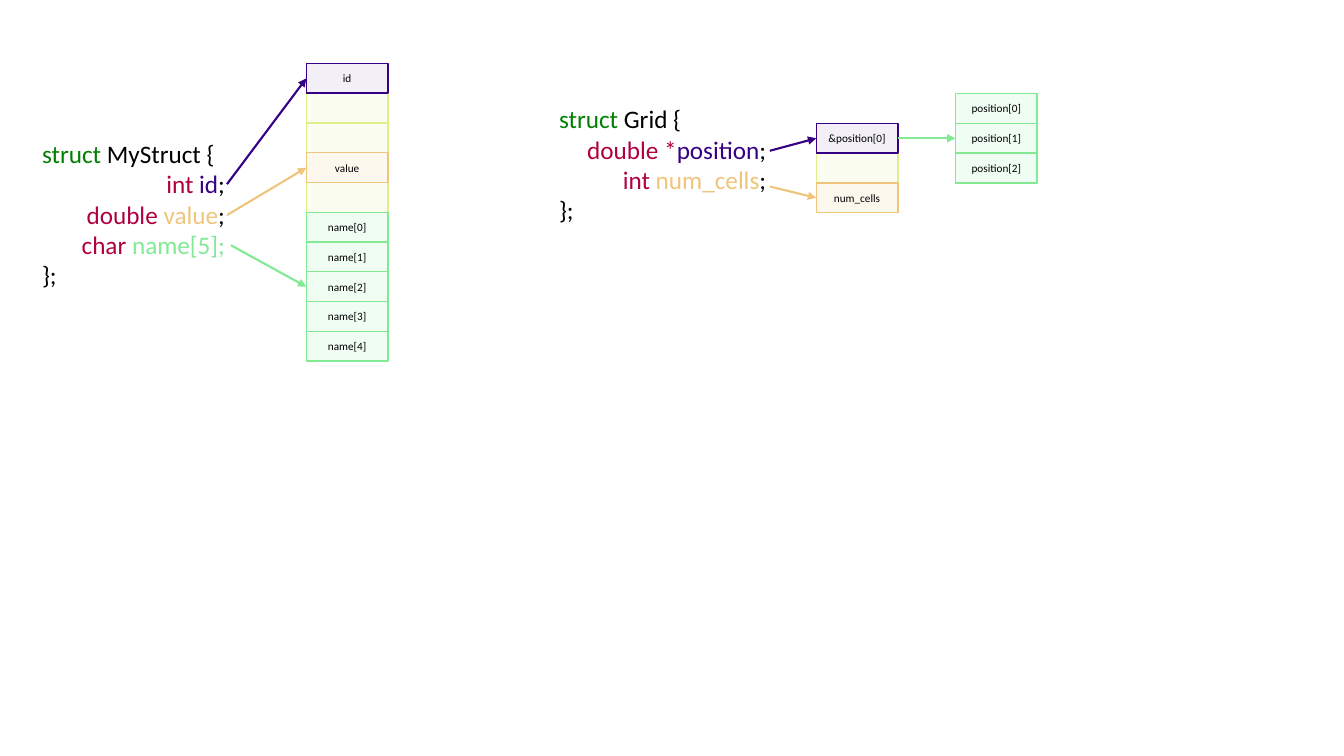
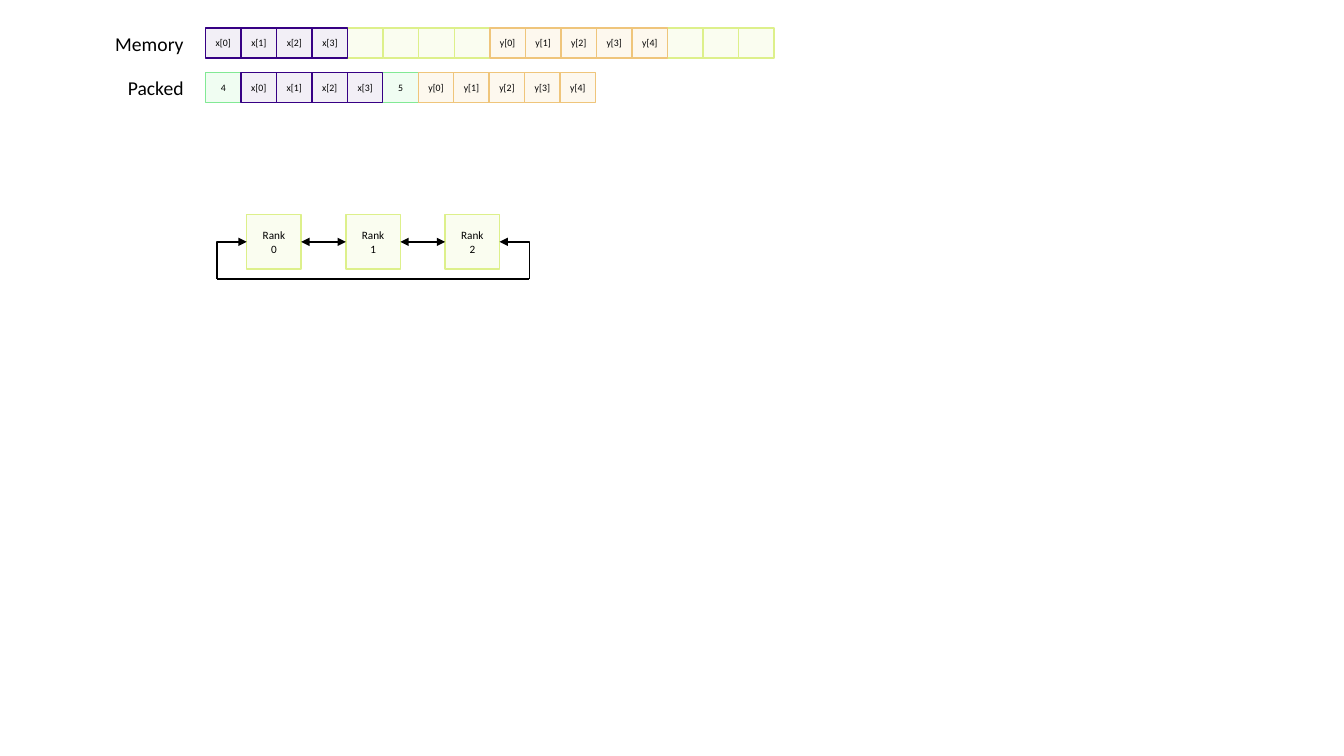
from dataclasses import dataclass
from typing import NamedTuple

from pptx import Presentation
from pptx.dml.color import RGBColor
from pptx.enum.shapes import MSO_CONNECTOR as Connector, MSO_SHAPE as Shape
from pptx.enum.text import MSO_ANCHOR as Anchor, PP_ALIGN as Align
from pptx.oxml.ns import qn
from pptx.oxml.xmlchemy import OxmlElement
from pptx.slide import Slide
from pptx.util import Cm, Pt

FONT = "Calibri"
BLACK = RGBColor(0x00, 0x00, 0x00)
KEYWORD = RGBColor(0x00, 0x80, 0x01)
TYPE = RGBColor(0xB0, 0x00, 0x40)
PURPLE = RGBColor(0x36, 0x00, 0x84)
ORANGE = RGBColor(0xEF, 0xC5, 0x7B)
GREEN = RGBColor(0x82, 0xE9, 0x95)
LIME = RGBColor(0xDD, 0xF0, 0x8B)

# Pale fill that belongs to each outline colour
TINTS = {
    PURPLE: RGBColor(0xF2, 0xEF, 0xF6),
    ORANGE: RGBColor(0xFD, 0xF8, 0xEE),
    GREEN: RGBColor(0xF0, 0xFD, 0xF2),
    LIME: RGBColor(0xFA, 0xFD, 0xF0),
}
STACK_ORDER = [LIME, GREEN, ORANGE, PURPLE]

CELL_HEIGHT = 0.75
FIELD_WIDTH = 2.06


class Point(NamedTuple):
    x: float
    y: float


class Cell(NamedTuple):
    label: str
    color: RGBColor


class Word(NamedTuple):
    text: str
    color: RGBColor = BLACK


@dataclass(frozen=True)
class MemoryBlock:
    """Adjoining cells, laid out by a fixed step; lengths in cm."""
    left: float
    top: float
    cells: list[Cell]
    cell_width: float = FIELD_WIDTH
    step_x: float = 0
    step_y: float = CELL_HEIGHT
    cell_height: float = CELL_HEIGHT
    size: int = 8

    def corner(self, index: int) -> Point:
        return Point(self.left + index * self.step_x, self.top + index * self.step_y)

    def left_side(self, index: int) -> Point:
        x, y = self.corner(index)
        return Point(x, y + self.cell_height / 2)

    def right_side(self, index: int) -> Point:
        x, y = self.left_side(index)
        return Point(x + self.cell_width, y)


PADDING = Cell("", LIME)


def array(name: str, count: int, color: RGBColor) -> list[Cell]:
    return [Cell(f"{name}[{i}]", color) for i in range(count)]


def memory_row(top: float, width: float, cells: list[Cell]) -> MemoryBlock:
    step = width / len(cells)
    return MemoryBlock(5.18, top, cells, step, step, 0, size=7)


def draw_block(slide: Slide, block: MemoryBlock) -> None:
    stacked = sorted(enumerate(block.cells),
                     key=lambda item: STACK_ORDER.index(item[1].color))
    for index, cell in stacked:
        x, y = block.corner(index)
        box = slide.shapes.add_shape(Shape.RECTANGLE, Cm(x), Cm(y),
                                     Cm(block.cell_width), Cm(block.cell_height))
        box.shadow.inherit = False
        box.fill.solid()
        box.fill.fore_color.rgb = TINTS[cell.color]
        box.line.color.rgb = cell.color
        box.line.width = Pt(1)
        frame = box.text_frame
        frame.margin_left = frame.margin_right = 0
        frame.vertical_anchor = Anchor.MIDDLE
        if not cell.label:
            continue
        frame.text = cell.label
        for paragraph in frame.paragraphs:
            paragraph.alignment = Align.CENTER
            style_font(paragraph.font, block.size, BLACK)


def style_font(font, size: int, color: RGBColor) -> None:
    font.name = FONT
    font.size = Pt(size)
    font.color.rgb = color


def draw_line(slide: Slide, start: Point, end: Point, color: RGBColor = BLACK,
              width: float = 1, head: bool = False, tail: bool = False,
              bent: bool = False) -> None:
    kind = Connector.ELBOW if bent else Connector.STRAIGHT
    line = slide.shapes.add_connector(kind, Cm(start.x), Cm(start.y),
                                      Cm(end.x), Cm(end.y))
    line.line.color.rgb = color
    line.line.width = Pt(width)
    properties = line._element.spPr
    if bent:
        properties.find(qn("a:prstGeom")).set("prst", "bentConnector2")
    for tag, wanted in (("a:headEnd", head), ("a:tailEnd", tail)):
        if wanted:
            arrowhead = OxmlElement(tag)
            arrowhead.set("type", "triangle")
            properties.find(qn("a:ln")).append(arrowhead)
    properties.append(OxmlElement("a:effectLst"))


def draw_code(slide: Slide, left: float, top: float, width: float, height: float,
              lines: list[list[Word]]) -> None:
    """Struct source: members are right-aligned between the outer lines."""
    box = slide.shapes.add_textbox(Cm(left), Cm(top), Cm(width), Cm(height))
    frame = box.text_frame
    frame.word_wrap = True
    frame.vertical_anchor = Anchor.MIDDLE
    for number, words in enumerate(lines):
        paragraph = frame.add_paragraph() if number else frame.paragraphs[0]
        is_member = 0 < number < len(lines) - 1
        paragraph.alignment = Align.RIGHT if is_member else Align.LEFT
        for word in words:
            run = paragraph.add_run()
            run.text = word.text
            style_font(run.font, 18, word.color)


def draw_row_label(slide: Slide, text: str, top: float) -> None:
    box = slide.shapes.add_textbox(Cm(2.49), Cm(top), Cm(2.39), Cm(0.86))
    frame = box.text_frame
    frame.word_wrap = True
    frame.text = text
    paragraph = frame.paragraphs[0]
    paragraph.alignment = Align.RIGHT
    style_font(paragraph.runs[0].font, 14, BLACK)


def build_struct_slide(slide: Slide) -> None:
    # Struct with an embedded array
    my_struct = MemoryBlock(7.72, 1.6, [
        Cell("id", PURPLE), PADDING, PADDING, Cell("value", ORANGE), PADDING,
        *array("name", 5, GREEN)])
    draw_code(slide, 0.81, 1.6, 5.11, 7.59, [
        [Word("struct ", KEYWORD), Word("MyStruct {")],
        [Word("int ", TYPE), Word("id", PURPLE), Word(";")],
        [Word("double ", TYPE), Word("value", ORANGE), Word(";")],
        [Word("char ", TYPE), Word("name[5];", GREEN)],
        [Word("};")]])

    # Struct with a pointer to an array
    grid = MemoryBlock(20.57, 3.11, [
        Cell("&position[0]", PURPLE), PADDING, Cell("num_cells", ORANGE)])
    positions = MemoryBlock(24.08, 2.36, array("position", 3, GREEN))
    draw_code(slide, 13.84, 2.44, 5.72, 3.4, [
        [Word("struct", KEYWORD), Word(" Grid {")],
        [Word("double *", TYPE), Word("position", PURPLE), Word(";")],
        [Word("int ", TYPE), Word("num_cells", ORANGE), Word(";")],
        [Word("};")]])

    for block in (my_struct, grid, positions):
        draw_block(slide, block)

    # Arrows from members to memory
    for start, end, color in (
            (Point(5.72, 4.64), my_struct.left_side(0), PURPLE),
            (Point(5.72, 5.42), my_struct.left_side(3), ORANGE),
            (Point(5.82, 6.18), my_struct.left_side(7), GREEN),
            (Point(19.4, 3.8), grid.left_side(0), PURPLE),
            (Point(19.4, 4.7), grid.left_side(2), ORANGE),
            (grid.right_side(0), positions.left_side(1), GREEN)):
        draw_line(slide, start, end, color, 1.5, tail=True)


def build_packing_slide(slide: Slide) -> None:
    # Arrays in memory and packed with their lengths
    x_cells = array("x", 4, PURPLE)
    y_cells = array("y", 5, ORANGE)
    memory = [*x_cells, *[PADDING] * 4, *y_cells, *[PADDING] * 3]
    packed = [Cell("4", GREEN), *x_cells, Cell("5", GREEN), *y_cells]
    draw_row_label(slide, "Memory", 0.69)
    draw_block(slide, memory_row(0.71, 14.33, memory))
    draw_row_label(slide, "Packed", 1.8)
    draw_block(slide, memory_row(1.83, 9.83, packed))

    # Ring of ranks
    ranks = MemoryBlock(6.22, 5.41, [Cell(f"Rank\n{i}", LIME) for i in range(3)],
                        1.37, 2.5, 0, cell_height=1.37)
    draw_block(slide, ranks)
    last = len(ranks.cells) - 1
    for i in range(last):
        draw_line(slide, ranks.right_side(i), ranks.left_side(i + 1),
                  head=True, tail=True)

    # Path that closes the ring
    first_side, last_side = ranks.left_side(0), ranks.right_side(last)
    drop, reach = 0.94, 0.75
    bottom_left = Point(first_side.x - reach, first_side.y + drop)
    bottom_right = Point(last_side.x + reach, last_side.y + drop)
    draw_line(slide, first_side, bottom_left, head=True, bent=True)
    draw_line(slide, last_side, bottom_right, head=True, bent=True)
    draw_line(slide, bottom_left, bottom_right)


def main() -> None:
    deck = Presentation()
    deck.slide_width, deck.slide_height = Cm(33.87), Cm(19.05)
    blank = deck.slide_layouts[6]
    for build in (build_struct_slide, build_packing_slide):
        build(deck.slides.add_slide(blank))
    deck.save("out.pptx")


if __name__ == "__main__":
    main()
